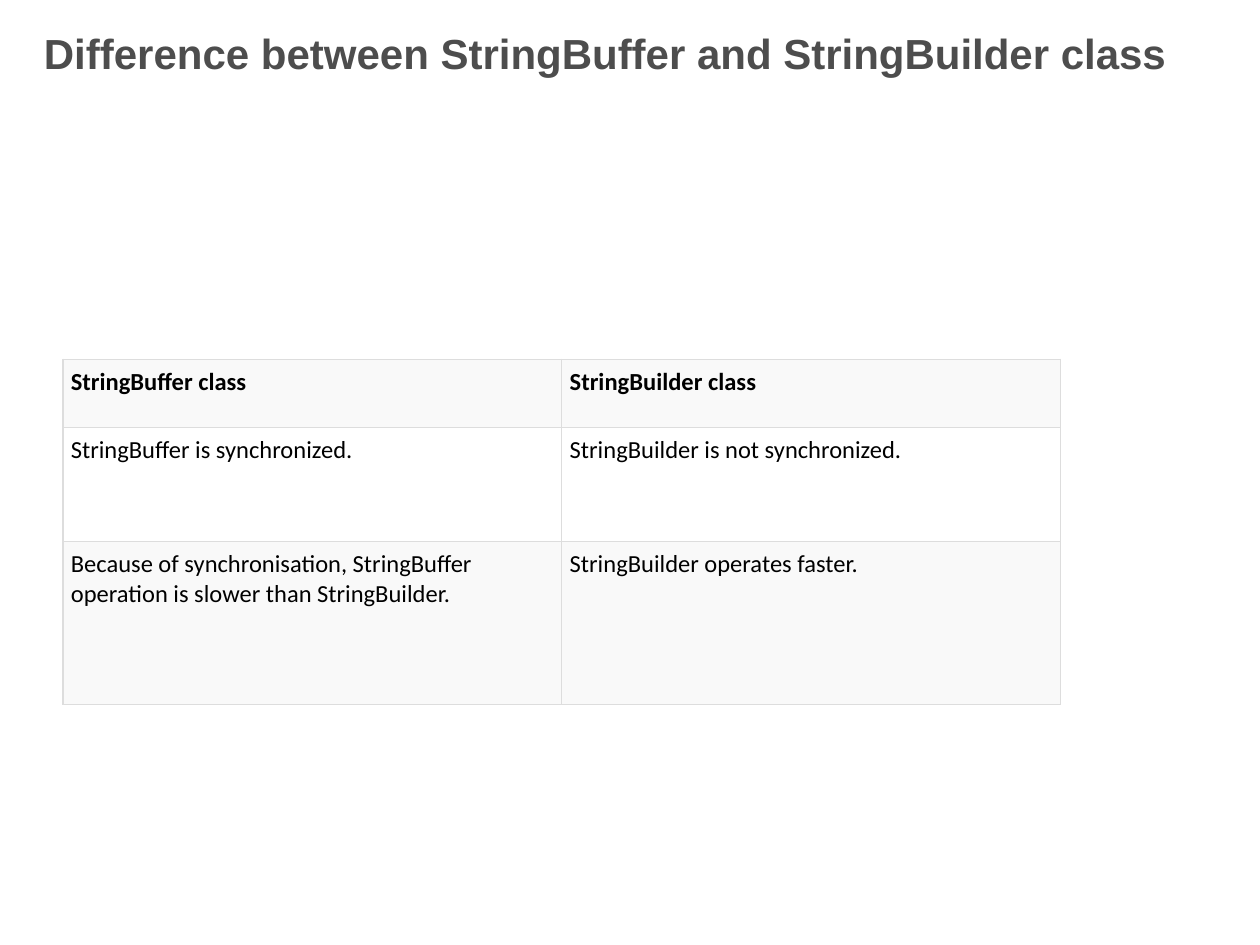
"""Build a slide comparing the StringBuffer and StringBuilder classes."""
from dataclasses import dataclass

from lxml import etree
from pptx import Presentation
from pptx.dml.color import RGBColor
from pptx.enum import text
from pptx.oxml import ns
from pptx.util import Pt


@dataclass(frozen=True)
class Theme:
    title_font: str = "Arial"
    body_font: str = "Calibri"
    title_size: float = 24
    body_size: float = 14
    title_color: str = "4D4D4D"
    body_color: str = "000000"
    band_fill: str = "F9F9F9"
    plain_fill: str = "FFFFFF"
    border_color: str = "DDDDDD"
    border_width: float = 0.75


THEME = Theme()
TITLE = "Difference between StringBuffer and StringBuilder class"
ROWS = [
    ("StringBuffer class", "StringBuilder class"),
    ("StringBuffer is synchronized.", "StringBuilder is not synchronized."),
    ("Because of synchronisation, StringBuffer operation is slower than StringBuilder.",
     "StringBuilder operates faster."),
]
ROW_HEIGHTS = (38.9, 65.5, 92.9)
COLUMN_WIDTH = 285.1
CELL_MARGIN = 4.5


def apply_format(target, values):
    for name, value in values.items():
        setattr(target, name, value)


def write_text(frame, words, font, size, color, bold):
    para = frame.paragraphs[0]
    para.alignment = text.PP_ALIGN.LEFT
    span = para.add_run()
    span.text = words
    apply_format(span.font, {"name": font, "size": Pt(size), "bold": bold})
    span.font.color.rgb = RGBColor.from_string(color)


def add_title(page, words):
    box = page.shapes.add_textbox(Pt(18), Pt(12.2), Pt(692.6), Pt(36))
    apply_format(box.text_frame, {
        "word_wrap": True,
        "vertical_anchor": text.MSO_ANCHOR.MIDDLE,
    })
    write_text(box.text_frame, words, THEME.title_font, THEME.title_size,
               THEME.title_color, True)


def add_borders(cell):
    properties = cell._tc.get_or_add_tcPr()
    for index, side in enumerate(("lnL", "lnR", "lnT", "lnB")):
        line = etree.Element(ns.qn(f"a:{side}"), w=str(Pt(THEME.border_width)))
        fill = etree.SubElement(line, ns.qn("a:solidFill"))
        etree.SubElement(fill, ns.qn("a:srgbClr"), val=THEME.border_color)
        properties.insert(index, line)


def fill_cell(cell, words, fill, bold):
    sides = ("left", "right", "top", "bottom")
    apply_format(cell, {f"margin_{side}": Pt(CELL_MARGIN) for side in sides})
    cell.vertical_anchor = text.MSO_ANCHOR.TOP
    cell.fill.solid()
    cell.fill.fore_color.rgb = RGBColor.from_string(fill)
    write_text(cell.text_frame, words, THEME.body_font, THEME.body_size,
               THEME.body_color, bold)
    add_borders(cell)


def add_comparison(page, rows):
    columns = len(rows[0])
    table = page.shapes.add_table(
        len(rows), columns, Pt(36), Pt(205.2),
        Pt(COLUMN_WIDTH * columns), Pt(sum(ROW_HEIGHTS))).table
    for column in table.columns:
        column.width = Pt(COLUMN_WIDTH)
    for row_index, (row, height) in enumerate(zip(rows, ROW_HEIGHTS)):
        table.rows[row_index].height = Pt(height)
        fill = THEME.plain_fill if row_index % 2 else THEME.band_fill
        for column_index, words in enumerate(row):
            fill_cell(table.cell(row_index, column_index), words, fill,
                      row_index == 0)


def main():
    deck = Presentation()
    apply_format(deck, {"slide_width": Pt(720), "slide_height": Pt(540)})
    page = deck.slides.add_slide(deck.slide_layouts[6])
    add_title(page, TITLE)
    add_comparison(page, ROWS)
    deck.save("out.pptx")


if __name__ == "__main__":
    main()
